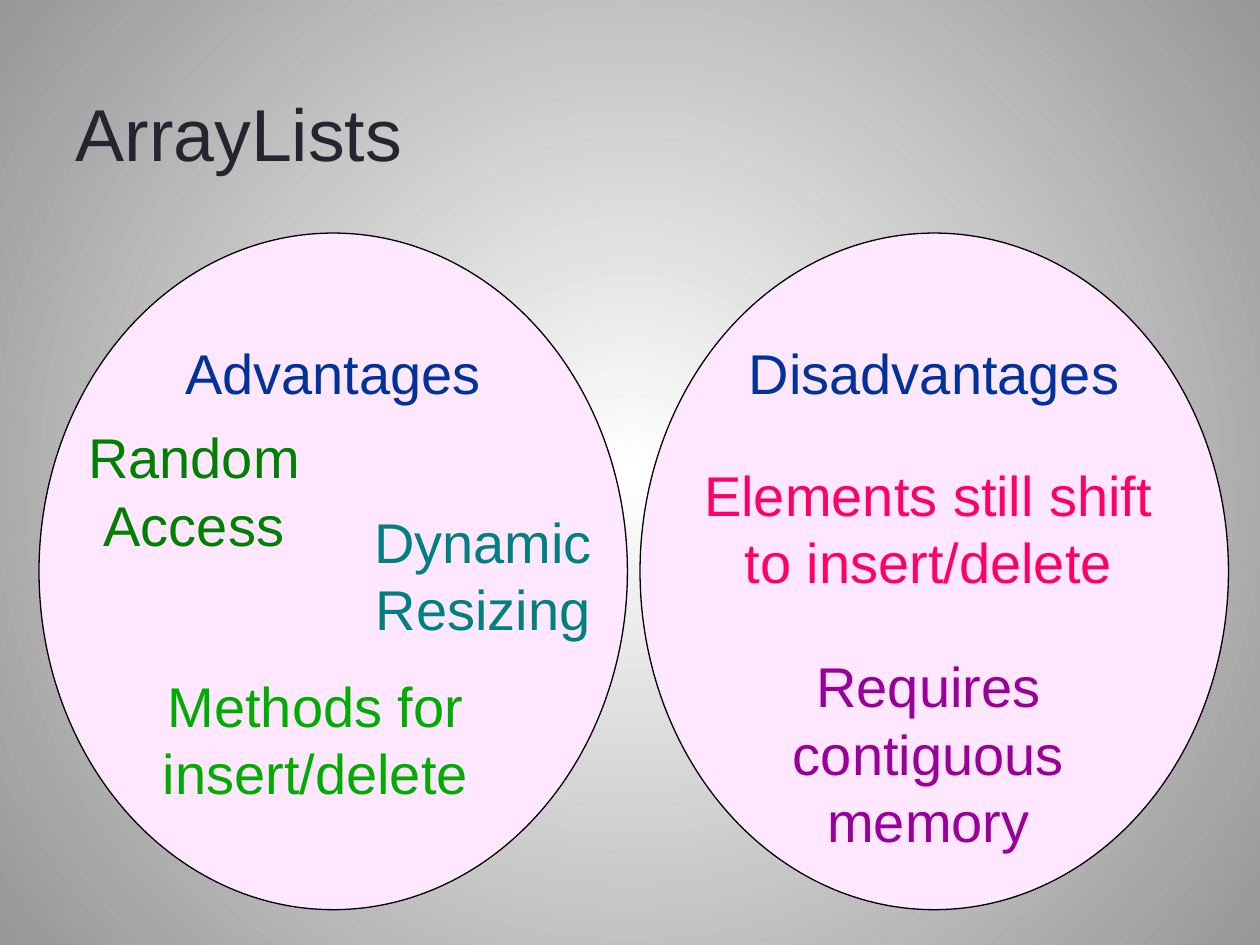
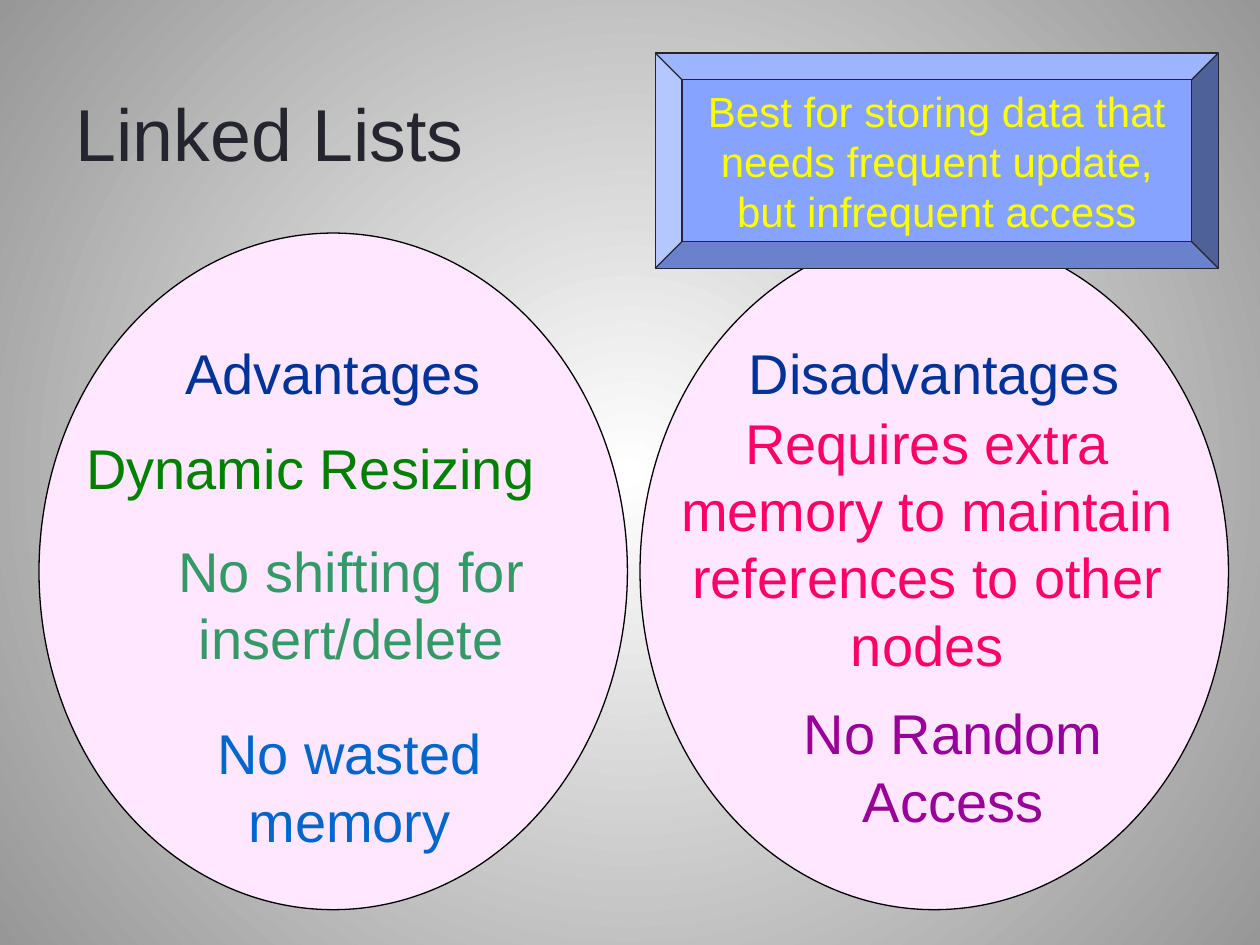
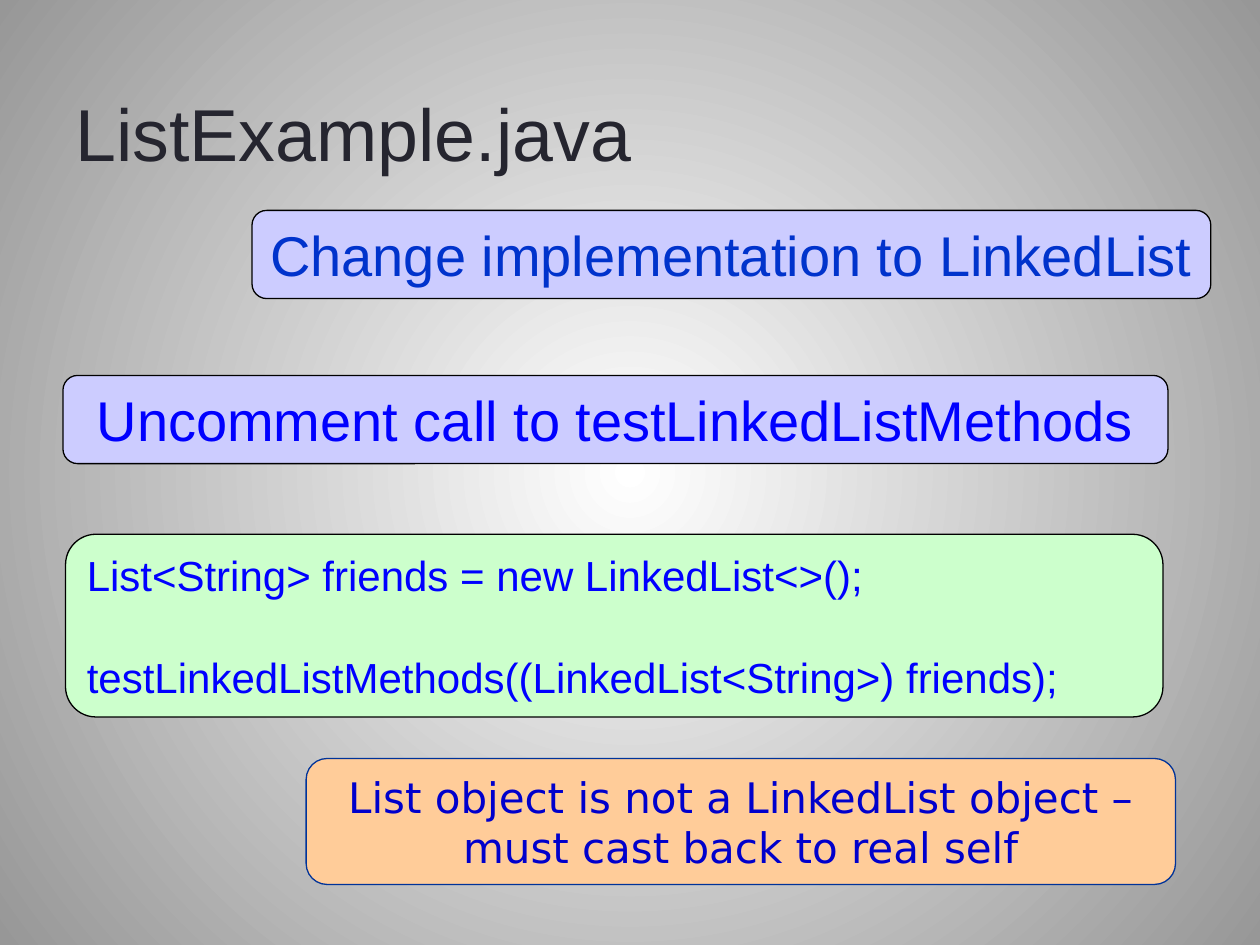
from dataclasses import dataclass

from lxml import etree
from pptx import Presentation
from pptx.dml.color import RGBColor
from pptx.enum.shapes import MSO_SHAPE
from pptx.enum.text import MSO_ANCHOR, PP_ALIGN
from pptx.oxml import parse_xml
from pptx.util import Inches, Pt

OVAL, ROUNDED, BEVEL = MSO_SHAPE.OVAL, MSO_SHAPE.ROUNDED_RECTANGLE, MSO_SHAPE.BEVEL
TOP, MIDDLE = MSO_ANCHOR.TOP, MSO_ANCHOR.MIDDLE
LEFT, CENTER = PP_ALIGN.LEFT, PP_ALIGN.CENTER
TITLE_ONLY = 5
DRAWING_NS = "http://schemas.openxmlformats.org/drawingml/2006/main"


@dataclass(frozen=True)
class Theme:
    font: str = "Arial"
    note_font: str = "DejaVu Sans"
    # Type sizes and line width, in points
    title_size: int = 42
    large: int = 32
    small: int = 24
    outline: float = 0.75
    # Surfaces
    glow: str = "FFFFFF"
    edge: str = "979797"
    oval: str = "FFE7FF"
    step: str = "CCCCFF"
    code: str = "CCFFCC"
    note: str = "FFCC99"
    bevel: str = "85A3FF"
    # Lines and text
    black: str = "000000"
    ink: str = "25252F"
    navy: str = "003399"
    green: str = "008000"
    bright_green: str = "00AC00"
    sea_green: str = "339966"
    teal: str = "008080"
    sky: str = "0066CC"
    cobalt: str = "0033CC"
    blue: str = "0000FF"
    dark_blue: str = "0000CC"
    pink: str = "FF0066"
    purple: str = "990099"
    yellow: str = "FFFF00"


THEME = Theme()


def rgb(value):
    return RGBColor.from_string(value)


def add_run(paragraph, text, size, color, font=THEME.font):
    run = paragraph.add_run()
    run.text = text
    run.font.name = font
    run.font.size = Pt(size)
    run.font.color.rgb = rgb(color)


def style_deck(prs):
    """Set the radial background and the title position for every slide."""
    fill = prs.slide_master.background.fill
    fill.gradient()
    for stop, color in zip(fill.gradient_stops, (THEME.glow, THEME.edge)):
        stop.color.rgb = rgb(color)
    background = prs.slide_master.background._cSld
    linear = next(background.iter(etree.QName(DRAWING_NS, "lin")))
    radial = parse_xml(
        f'<a:path xmlns:a="{DRAWING_NS}" path="circle">'
        '<a:fillToRect l="50000" t="50000" r="50000" b="50000"/></a:path>')
    linear.getparent().replace(linear, radial)

    title = prs.slide_layouts[TITLE_ONLY].placeholders[0]
    title.left, title.top = Inches(0.5), Inches(0.21)
    title.width, title.height = Inches(8.83), Inches(1.67)


def add_titled_slide(prs, title):
    slide = prs.slides.add_slide(prs.slide_layouts[TITLE_ONLY])
    frame = slide.shapes.title.text_frame
    frame.vertical_anchor = MIDDLE
    frame.paragraphs[0].alignment = LEFT
    add_run(frame.paragraphs[0], title, THEME.title_size, THEME.ink)
    return slide


def add_panel(slide, kind, box, lines, color, size=THEME.large, fill=None,
              outline=THEME.black, anchor=MIDDLE, align=CENTER,
              font=THEME.font, gap=0):
    """Add a shape with one paragraph per line; without a fill it is bare."""
    panel = slide.shapes.add_shape(kind, *map(Inches, box))
    panel.shadow.inherit = False
    if fill:
        panel.fill.solid()
        panel.fill.fore_color.rgb = rgb(fill)
        panel.line.color.rgb = rgb(outline)
        panel.line.width = Pt(THEME.outline)
    else:
        panel.fill.background()
        panel.line.fill.background()
    frame = panel.text_frame
    frame.word_wrap = True
    frame.vertical_anchor = anchor
    for index, line in enumerate(lines):
        paragraph = frame.add_paragraph() if index else frame.paragraphs[0]
        paragraph.alignment = align
        if index:
            paragraph.space_before = Pt(gap)
        add_run(paragraph, line, size, color, font)


def add_oval(slide, left, heading, points):
    """Add a headed oval and the points, as (text, color, box), inside it."""
    add_panel(slide, OVAL, (left, 1.85, 4.67, 5.37), [heading], THEME.navy,
              fill=THEME.oval, anchor=TOP)
    for text, color, box in points:
        add_panel(slide, ROUNDED, box, [text], color)


def add_comparison(prs, title, advantages, disadvantages):
    slide = add_titled_slide(prs, title)
    add_oval(slide, 0.31, "Advantages", advantages)
    add_oval(slide, 5.08, "Disadvantages", disadvantages)
    return slide


def add_array_lists(prs):
    add_comparison(
        prs, "ArrayLists",
        [("Random Access", THEME.green, (0, 3.25, 3.08, 1.28)),
         ("Dynamic Resizing", THEME.teal, (2.25, 3.92, 3.17, 1.28)),
         ("Methods for insert/delete", THEME.bright_green,
          (0.92, 5.22, 3.17, 1.28))],
        [("Elements still shift to insert/delete", THEME.pink,
          (5.3, 3.55, 4.14, 1.28)),
         ("Requires contiguous memory", THEME.purple,
          (5.27, 5.04, 4.2, 1.87))])


def add_linked_lists(prs):
    slide = add_comparison(
        prs, "Linked Lists",
        [("Dynamic Resizing", THEME.green, (0.31, 3.36, 4.31, 0.69)),
         ("No shifting for insert/delete", THEME.sea_green,
          (0.61, 4.15, 4.36, 1.28)),
         ("No wasted memory", THEME.sky, (1, 5.6, 3.55, 1.28))],
        [("Requires extra memory to maintain references to other nodes",
          THEME.pink, (5, 3.08, 4.72, 2.46)),
         ("No Random Access", THEME.purple, (5.79, 5.44, 3.55, 1.28))])
    # Recommended use, over the top of the right oval
    add_panel(slide, BEVEL, (5.2, 0.42, 4.47, 1.71),
              ["Best for storing data that needs frequent update, "
               "but infrequent access"],
              THEME.yellow, THEME.small, THEME.bevel, THEME.ink)


def add_list_example(prs):
    slide = add_titled_slide(prs, "ListExample.java")
    # Steps
    add_panel(slide, ROUNDED, (2, 1.67, 7.61, 0.7),
              ["Change implementation to LinkedList"], THEME.cobalt,
              fill=THEME.step)
    add_panel(slide, ROUNDED, (0.5, 2.98, 8.77, 0.7),
              ["Uncomment call to testLinkedListMethods"], THEME.blue,
              fill=THEME.step)
    # Code, with a line's gap between the statements
    add_panel(slide, ROUNDED, (0.52, 4.24, 8.71, 1.45),
              ["List<String> friends = new LinkedList<>();",
               "testLinkedListMethods((LinkedList<String>) friends);"],
              THEME.blue, THEME.small, THEME.code, align=LEFT, gap=29)
    # Reason for the cast
    add_panel(slide, ROUNDED, (2.43, 6.02, 6.9, 1),
              ["List object is not a LinkedList object – "
               "must cast back to real self"],
              THEME.dark_blue, THEME.small, THEME.note, THEME.navy,
              font=THEME.note_font)


def main():
    prs = Presentation()
    prs.slide_width, prs.slide_height = Inches(10), Inches(7.5)
    style_deck(prs)
    add_array_lists(prs)
    add_linked_lists(prs)
    add_list_example(prs)
    prs.save("out.pptx")


if __name__ == "__main__":
    main()
